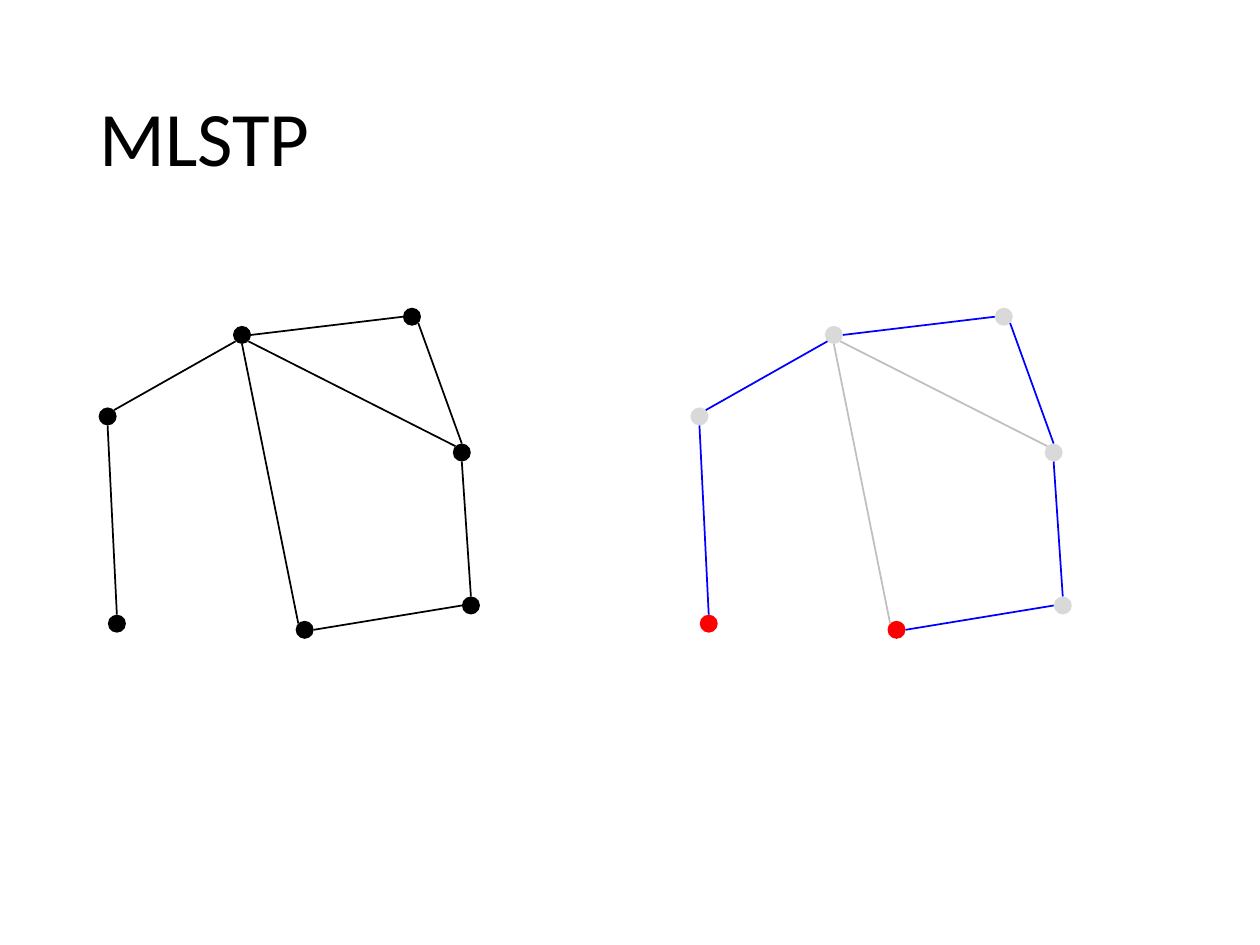
from math import cos, radians, sin
from pptx import Presentation
from pptx.dml.color import RGBColor
from pptx.enum.shapes import MSO_CONNECTOR, MSO_SHAPE
from pptx.enum.text import MSO_ANCHOR, PP_ALIGN
from pptx.oxml.ns import qn
from pptx.util import Pt
from lxml.etree import SubElement

NODES = {
    "a": (61.5, 238), "b": (138.3, 191.4), "c": (66.8, 356.4),
    "d": (174.1, 359.9), "e": (263.9, 258.6), "f": (235.4, 181),
    "g": (269.1, 346),
}
SIDES = {"E": 0, "SE": 45, "S": 90, "SW": 135, "W": 180, "NW": 225, "N": 270, "NE": 315}
EDGES = [
    ("a", "NE", "b", "SW"), ("b", "E", "f", "W"),
    ("d", "NW", "b", "S"), ("e", "NW", "b", "SE"),
    ("e", "N", "f", "SE"), ("c", "N", "a", "S"),
    ("d", "E", "g", "W"), ("g", "N", "e", "S"),
]
SHIFT = 338.2


def color(code):
    return RGBColor.from_string(code)


class Deck:
    font = "Calibri"
    ink = "000000"
    size = 44
    rad = 5.15
    width = 1

    def __init__(self, slide):
        self.slide = slide

    def title(self, text, left, top, width, height):
        box = self.slide.shapes.title
        box.left, box.top, box.width, box.height = map(Pt, (left, top, width, height))
        frame = box.text_frame
        frame.text = text
        frame.vertical_anchor = MSO_ANCHOR.MIDDLE
        para = frame.paragraphs[0]
        para.alignment = PP_ALIGN.LEFT
        para.line_spacing = 0.9
        para.font.name = self.font
        para.font.size = Pt(self.size)
        para.font.color.rgb = color(self.ink)

    def node(self, x, y, fill):
        dot = self.slide.shapes.add_shape(
            MSO_SHAPE.OVAL, Pt(x - self.rad), Pt(y - self.rad),
            Pt(2 * self.rad), Pt(2 * self.rad))
        dot.shadow.inherit = False
        dot.fill.solid()
        dot.fill.fore_color.rgb = color(fill)
        dot.line.fill.background()

    def site(self, name, side, shift):
        x, y = NODES[name]
        turn = radians(SIDES[side])
        return Pt(x + shift + self.rad * cos(turn)), Pt(y + self.rad * sin(turn))

    def edge(self, start, end, tint):
        line = self.slide.shapes.add_connector(MSO_CONNECTOR.STRAIGHT, *start, *end)
        line.line.color.rgb = color(tint)
        line.line.width = Pt(self.width)
        SubElement(line._element.spPr, qn("a:effectLst"))

    def graph(self, shift, fill, tint, marks, mark, faint, pale):
        for name, (x, y) in NODES.items():
            self.node(x + shift, y, mark if name in marks else fill)
        for tail, out, head, into in EDGES:
            self.edge(self.site(tail, out, shift), self.site(head, into, shift),
                      pale if tail + head in faint else tint)


def main():
    prs = Presentation()
    prs.slide_width, prs.slide_height = Pt(720), Pt(540)
    deck = Deck(prs.slides.add_slide(prs.slide_layouts[5]))
    deck.title("MLSTP", 49.5, 28.75, 621, 104.4)
    deck.graph(0, "000000", "000000", (), "000000", (), "000000")
    deck.graph(SHIFT, "D9D9D9", "0000FF", ("c", "d"), "FF0000", ("db", "eb"), "BFBFBF")
    prs.save("out.pptx")


if __name__ == "__main__":
    main()
